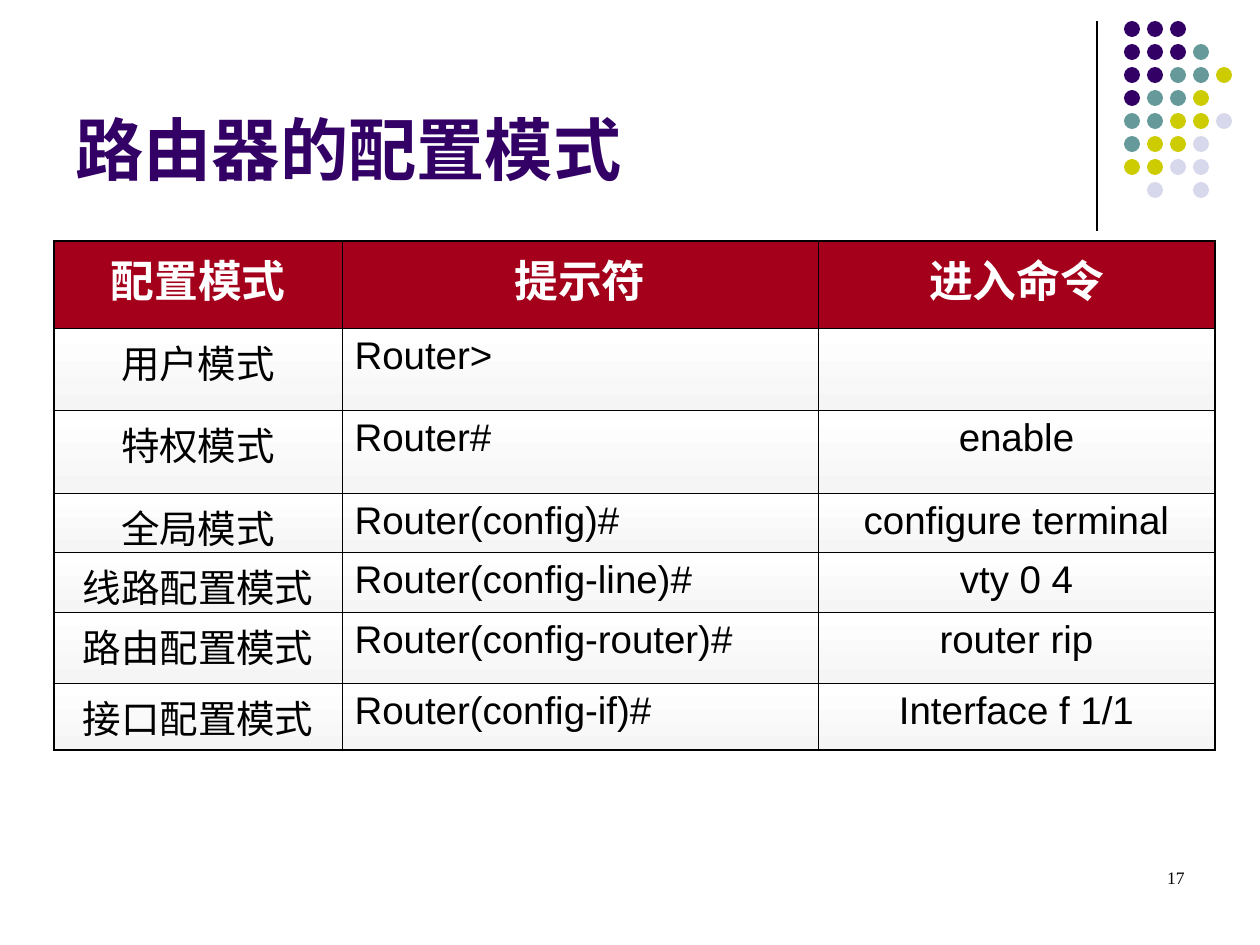
from dataclasses import dataclass

from lxml import etree
from pptx import Presentation
from pptx.dml.color import RGBColor
from pptx.enum.shapes import MSO_CONNECTOR, MSO_SHAPE
from pptx.enum.text import MSO_ANCHOR, PP_ALIGN
from pptx.oxml.ns import qn
from pptx.util import Pt

LEFT, CENTER, RIGHT = PP_ALIGN.LEFT, PP_ALIGN.CENTER, PP_ALIGN.RIGHT
TOP, BOTTOM = MSO_ANCHOR.TOP, MSO_ANCHOR.BOTTOM
OVAL, STRAIGHT = MSO_SHAPE.OVAL, MSO_CONNECTOR.STRAIGHT
PX_PER_INCH = 126


@dataclass(frozen=True)
class Theme:
    purple: str = "330066"
    teal: str = "669999"
    lime: str = "CCCC00"
    lilac: str = "D8D8EC"
    red: str = "A4001B"
    white: str = "FFFFFF"
    pale: str = "F5F5F5"
    black: str = "000000"
    latin: str = "Arial"
    chinese: str = "Noto Sans CJK SC"
    number: str = "Times New Roman"
    title_size: float = 39
    header_size: float = 25
    body_size: float = 22
    number_size: float = 10
    outer_border: float = 1.08
    inner_border: float = 0.45
    divider: float = 0.75


THEME = Theme()

# One letter for each dot: purple, teal, lime, lilac (v), or a gap
DOT_ROWS = ["PPP", "PPPT", "PPTTL", "PTTL", "TTLLV", "TLLV", "LLVV", " V V"]
DOT_COLORS = {"P": THEME.purple, "T": THEME.teal, "L": THEME.lime, "V": THEME.lilac}

MODES = [
    ("配置模式", "提示符", "进入命令"),
    ("用户模式", "Router>", ""),
    ("特权模式", "Router#", "enable"),
    ("全局模式", "Router(config)#", "configure terminal"),
    ("线路配置模式", "Router(config-line)#", "vty 0 4"),
    ("路由配置模式", "Router(config-router)#", "router rip"),
    ("接口配置模式", "Router(config-if)#", "Interface f 1/1"),
]
COLUMN_WIDTHS = [288, 476, 397]
ROW_HEIGHTS = [87, 82, 83, 59, 60, 71, 67]


def px(length):
    return round(length * 914400 / PX_PER_INCH)


def rgb(color):
    return RGBColor.from_string(color)


def write(frame, text, size, color, font, align, bold=False):
    paragraph = frame.paragraphs[0]
    paragraph.text = text
    paragraph.alignment = align
    paragraph.font.size = Pt(size)
    paragraph.font.bold = bold
    paragraph.font.name = font
    paragraph.font.color.rgb = rgb(color)
    defaults = paragraph._p.pPr.find(qn("a:defRPr"))
    etree.SubElement(defaults, qn("a:ea"), typeface=THEME.chinese)
    return paragraph


def add_label(slide, box, text, size, color, font, align, anchor, bold=False):
    frame = slide.shapes.add_textbox(*map(px, box)).text_frame
    frame.word_wrap = True
    frame.vertical_anchor = anchor
    write(frame, text, size, color, font, align, bold)


def add_ornament(slide, box):
    left, top, _, height = box

    # Divider
    divider = slide.shapes.add_connector(
        STRAIGHT, px(left), px(top), px(left), px(top + height))
    divider.line.color.rgb = rgb(THEME.black)
    divider.line.width = Pt(THEME.divider)
    etree.SubElement(divider._element.spPr, qn("a:effectLst"))

    # Dot grid
    dots = slide.shapes.add_group_shape()
    inset, pitch, diameter = 27, 23, 16
    for row, letters in enumerate(DOT_ROWS):
        for column, letter in enumerate(letters):
            if letter not in DOT_COLORS:
                continue
            dot = dots.shapes.add_shape(
                OVAL, px(left + inset + column * pitch), px(top + row * pitch),
                px(diameter), px(diameter))
            dot.shadow.inherit = False
            dot.fill.solid()
            dot.fill.fore_color.rgb = rgb(DOT_COLORS[letter])
            dot.line.fill.background()


def set_borders(cell, outer_sides):
    properties = cell._tc.get_or_add_tcPr()
    for side in "LRTB":
        width = THEME.outer_border if side in outer_sides else THEME.inner_border
        border = etree.SubElement(properties, qn(f"a:ln{side}"), w=str(Pt(width)))
        fill = etree.SubElement(border, qn("a:solidFill"))
        etree.SubElement(fill, qn("a:srgbClr"), val=THEME.black)


def fill_cell(cell, is_header):
    if is_header:
        cell.fill.solid()
        cell.fill.fore_color.rgb = rgb(THEME.red)
        return
    cell.fill.gradient()
    cell.fill.gradient_angle = 270  # white at the top
    for stop, color in zip(cell.fill.gradient_stops, (THEME.white, THEME.pale)):
        stop.color.rgb = rgb(color)


def add_mode_table(slide, box):
    last_row, last_column = len(MODES) - 1, len(COLUMN_WIDTHS) - 1
    table = slide.shapes.add_table(
        len(MODES), len(COLUMN_WIDTHS), *map(px, box)).table
    table.first_row = table.horz_banding = False
    for column, width in zip(table.columns, COLUMN_WIDTHS):
        column.width = px(width)
    for row, height in zip(table.rows, ROW_HEIGHTS):
        row.height = px(height)

    for r, mode in enumerate(MODES):
        is_header = r == 0
        for c, text in enumerate(mode):
            cell = table.cell(r, c)
            edges = {"L": c == 0, "R": c == last_column,
                     "T": is_header, "B": r == last_row}
            set_borders(cell, [side for side, outer in edges.items() if outer])
            fill_cell(cell, is_header)
            if not text:
                continue
            if is_header:
                paragraph = write(cell.text_frame, text, THEME.header_size,
                                  THEME.white, THEME.chinese, CENTER, bold=True)
            else:
                paragraph = write(cell.text_frame, text, THEME.body_size,
                                  THEME.black, THEME.latin, LEFT if c == 1 else CENTER)
            paragraph.space_before = Pt(6.2 if is_header else 5.5)


def main():
    deck = Presentation()
    deck.slide_width, deck.slide_height = px(1260), px(945)
    slide = deck.slides.add_slide(deck.slide_layouts[6])

    add_ornament(slide, (1097, 21, 136, 210))
    add_label(slide, (63, 16, 1040, 179), "路由器的配置模式", THEME.title_size,
              THEME.purple, THEME.latin, LEFT, BOTTOM, bold=True)
    add_mode_table(slide, (54, 241, sum(COLUMN_WIDTHS), sum(ROW_HEIGHTS)))
    add_label(slide, (903, 861, 294, 63), "17", THEME.number_size,
              THEME.black, THEME.number, RIGHT, TOP)

    deck.save("out.pptx")


if __name__ == "__main__":
    main()
